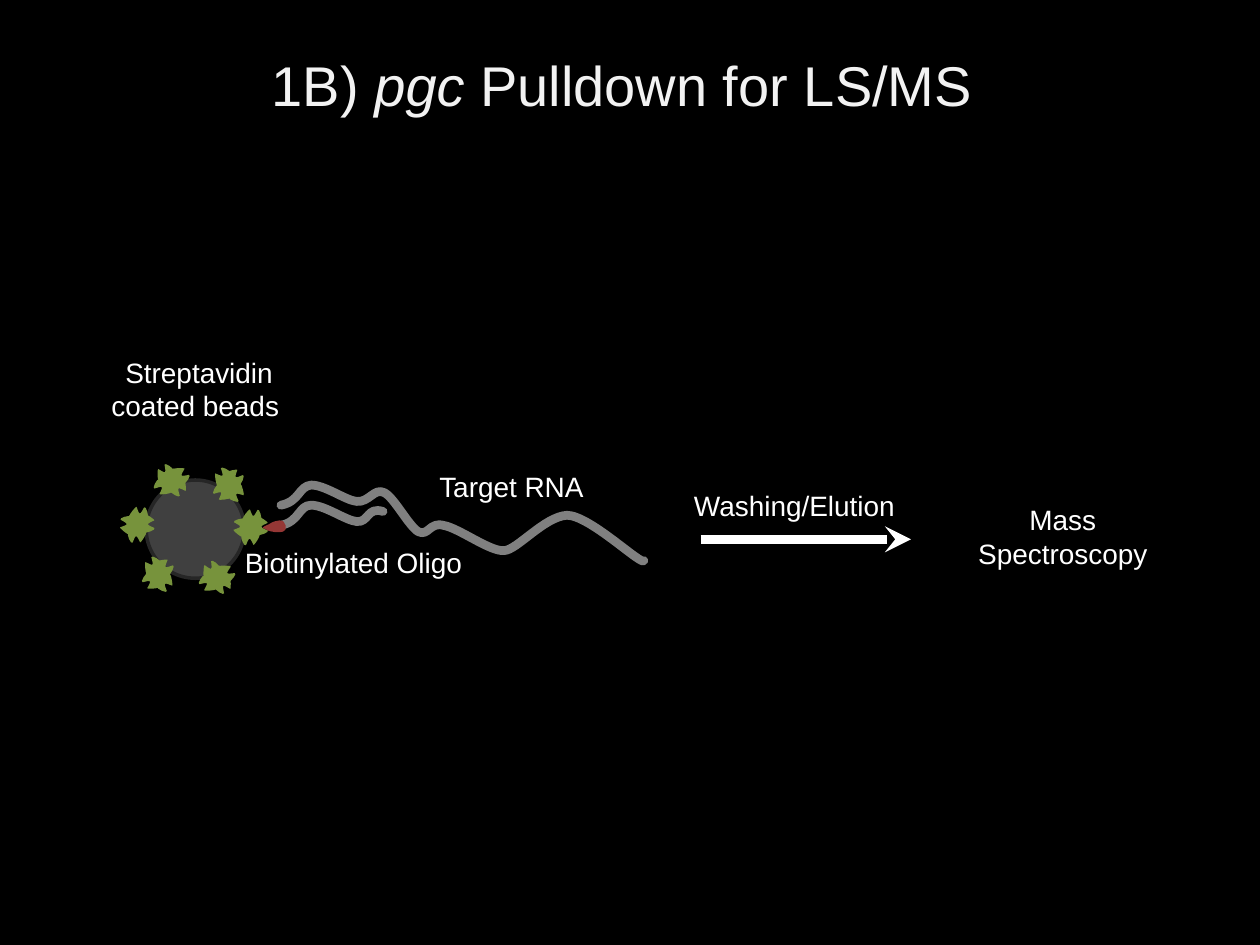
import math

from lxml import etree
from pptx import Presentation
from pptx.dml.color import RGBColor
from pptx.enum.shapes import MSO_CONNECTOR, MSO_SHAPE
from pptx.enum.text import MSO_ANCHOR, PP_ALIGN
from pptx.oxml.ns import qn
from pptx.util import Inches, Pt

ELLIPSE = MSO_SHAPE.OVAL
STRAIGHT = MSO_CONNECTOR.STRAIGHT
CENTER = PP_ALIGN.CENTER
MIDDLE = MSO_ANCHOR.MIDDLE

FONT = "Arial"
WHITE, TITLE_COLOR = "FFFFFF", "F2F2F2"
GREEN, RED, GRAY = "77933C", "953735", "808080"

# Bezier outlines in thousandths of an inch: a start point, then three points per curve.
# LOBE, CORE and BIOTIN are unrotated and relative to their own middle.
LOBE = [(-38, -41), (-23, -25), (-5, 1), (5, -1), (14, -4), (16, -36), (20, -58),
        (24, -80), (87, -5), (71, 11), (54, 26), (-51, 57), (-64, 50),
        (-76, 43), (-41, -51), (-38, -41)]
CORE = [(-78, -42), (-78, -83), (-25, -77), (-7, -91), (12, -96), (26, -121), (53, -97),
        (77, -81), (61, -67), (66, -48), (71, -29), (94, 27), (90, 49),
        (73, 64), (32, 64), (12, 69), (-17, 77), (-17, 118), (-46, 84),
        (-82, 62), (-37, 40), (-78, -42)]
BIOTIN = [(-24, 47), (-80, 72), (-114, -23), (-75, -32), (-39, -52), (12, -55), (43, -52),
          (56, -45), (87, -43), (87, -43), (90, -33), (63, -16), (46, -1),
          (29, 13), (32, 23), (-24, 47)]
OLIGO = [(2230, 4170), (2380, 4140), (2370, 4010), (2470, 4010), (2580, 4010),
         (2740, 4130), (2830, 4140), (2930, 4150), (2910, 4020), (3040, 4060)]
TARGET_RNA = [(2230, 4010), (2380, 3980), (2370, 3860), (2470, 3850), (2580, 3850),
              (2740, 3970), (2830, 3980), (2930, 3990), (2970, 3870), (3050, 3910),
              (3130, 3950), (3240, 4170), (3320, 4220), (3400, 4260), (3410, 4140),
              (3520, 4170), (3640, 4190), (3890, 4380), (4000, 4370), (4100, 4370),
              (4320, 4100), (4500, 4090), (4680, 4090), (5090, 4490), (5110, 4450)]

# Offset from the core in thousandths of an inch, and turn relative to the core.
LOBES = [(-71, 23, -88.1), (16, 84, -173.7), (91, -28, 97.2), (-9, -96, 0)]
# Middle of each streptavidin in inches, and its turn in degrees.
STREPTAVIDINS = [(2, 4.18, 194.3), (1.82, 3.84, 147.8), (1.73, 4.59, 248.6),
                 (1.1, 4.16, 194.3), (1.37, 3.82, 244.5), (1.26, 4.55, 151.5)]

LABELS = [
    ("Streptavidin coated beads ", (0.64, 2.77, 1.88, 0.64)),
    ("Target RNA", (3.36, 3.68, 1.4, 0.37)),
    ("Biotinylated Oligo", (1.75, 4.28, 2.11, 0.37)),
    ("Washing/Elution", (5.39, 3.83, 1.83, 0.37)),
    ("Mass Spectroscopy", (7.52, 3.94, 1.83, 0.64)),
]


def rgb(value):
    return RGBColor.from_string(value)


def style_font(font, size, color):
    font.name = FONT
    font.size = Pt(size)
    font.color.rgb = rgb(color)


def rotate(x, y, turn):
    cosine, sine = math.cos(math.radians(turn)), math.sin(math.radians(turn))
    return x * cosine - y * sine, x * sine + y * cosine


def add_curve(page, points, closed):
    """Build a freeform, then join each three line segments into one Bezier curve."""
    vertices = [(Inches(x / 1000), Inches(y / 1000)) for x, y in points]
    builder = page.shapes.build_freeform(*vertices[0])
    builder.add_line_segments(vertices[1:], close=closed)
    shape = builder.convert_to_shape()
    shape.shadow.inherit = False
    segments = list(shape._element.iter(qn("a:lnTo")))
    for first in range(0, len(segments), 3):
        group = segments[first:first + 3]
        curve = etree.Element(qn("a:cubicBezTo"))
        group[0].addprevious(curve)
        for segment in group:
            curve.append(segment[0])
            segment.getparent().remove(segment)
    return shape


def add_blob(page, points, x, y, turn, color):
    """Draw a filled outline, turned about its own origin at x, y in inches."""
    shape = add_curve(page, points, True)
    right, down = rotate(shape.left + shape.width / 2, shape.top + shape.height / 2, turn)
    shape.left = Inches(x) + round(right - shape.width / 2)
    shape.top = Inches(y) + round(down - shape.height / 2)
    shape.rotation = turn % 360
    shape.fill.solid()
    shape.fill.fore_color.rgb = rgb(color)
    shape.line.fill.background()


def add_strand(page, points):
    shape = add_curve(page, points, False)
    shape.fill.background()
    shape.line.color.rgb = rgb(GRAY)
    shape.line.width = Pt(5)
    shape._element.spPr.find(qn("a:ln")).set("cap", "rnd")


def add_streptavidin(page, x, y, turn):
    for lobe_x, lobe_y, lobe_turn in LOBES:
        right, down = rotate(lobe_x / 1000, lobe_y / 1000, turn)
        add_blob(page, LOBE, x + right, y + down, turn + lobe_turn, GREEN)
    add_blob(page, CORE, x, y, turn, GREEN)


def add_bead(page, box):
    bead = page.shapes.add_shape(ELLIPSE, *map(Inches, box))
    bead.shadow.inherit = False
    bead.fill.solid()
    bead.fill.fore_color.rgb = rgb("404040")
    bead.line.color.rgb = rgb("262626")
    bead.line.width = Pt(2)


def add_arrow(page, start, end):
    arrow = page.shapes.add_connector(STRAIGHT, *map(Inches, start + end))
    arrow.line.color.rgb = rgb(WHITE)
    arrow.line.width = Pt(5)
    properties = arrow._element.spPr
    etree.SubElement(properties.find(qn("a:ln")), qn("a:tailEnd"), type="stealth")
    etree.SubElement(properties, qn("a:effectLst"))


def add_label(page, text, box):
    frame = page.shapes.add_textbox(*map(Inches, box)).text_frame
    frame.word_wrap = True
    para = frame.paragraphs[0]
    para.text = text
    para.alignment = CENTER
    style_font(para.font, 16, WHITE)


def set_title(page, box):
    title = page.shapes.title
    title.left, title.top, title.width, title.height = map(Inches, box)
    title.text_frame.vertical_anchor = MIDDLE
    para = title.text_frame.paragraphs[0]
    para.alignment = CENTER
    style_font(para.font, 32, TITLE_COLOR)
    for text, italic in (("1B) ", False), ("pgc", True), (" Pulldown for LS/MS ", False)):
        span = para.add_run()
        span.text = text
        span.font.italic = italic


def add_pulldown(page):
    """Draw the coated bead with the oligo and the RNA it captures."""
    add_bead(page, (1.16, 3.81, 0.78, 0.78))
    add_strand(page, OLIGO)
    for x, y, turn in STREPTAVIDINS:
        add_streptavidin(page, x, y, turn)
    add_blob(page, BIOTIN, 2.18, 4.17, 194.3, RED)
    add_strand(page, TARGET_RNA)


def main():
    deck = Presentation()
    deck.slide_width, deck.slide_height = Inches(10), Inches(7.5)
    page = deck.slides.add_slide(deck.slide_layouts.get_by_name("Title Only"))
    page.background.fill.solid()
    page.background.fill.fore_color.rgb = rgb("000000")
    set_title(page, (0, 0.04, 10, 1.25))
    add_pulldown(page)
    add_arrow(page, (5.56, 4.28), (7.23, 4.28))
    for text, box in LABELS:
        add_label(page, text, box)
    deck.save("out.pptx")


if __name__ == "__main__":
    main()
